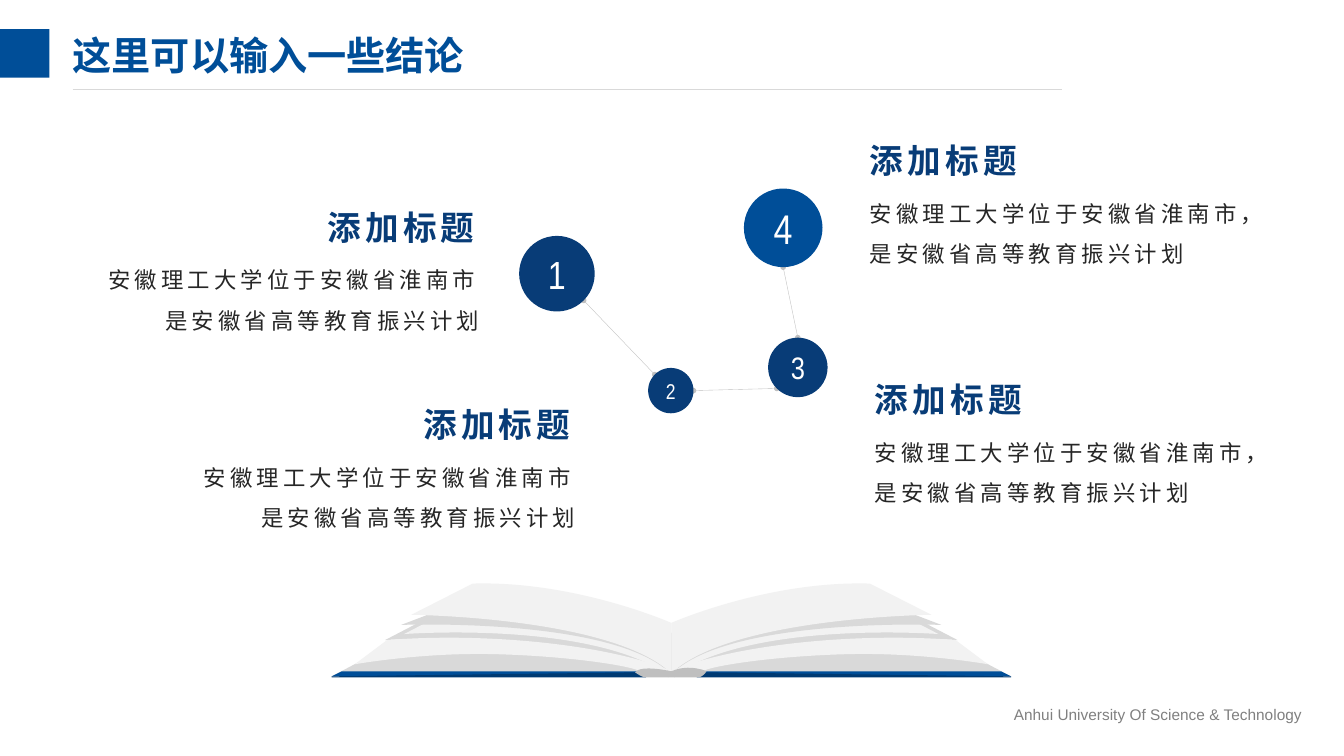
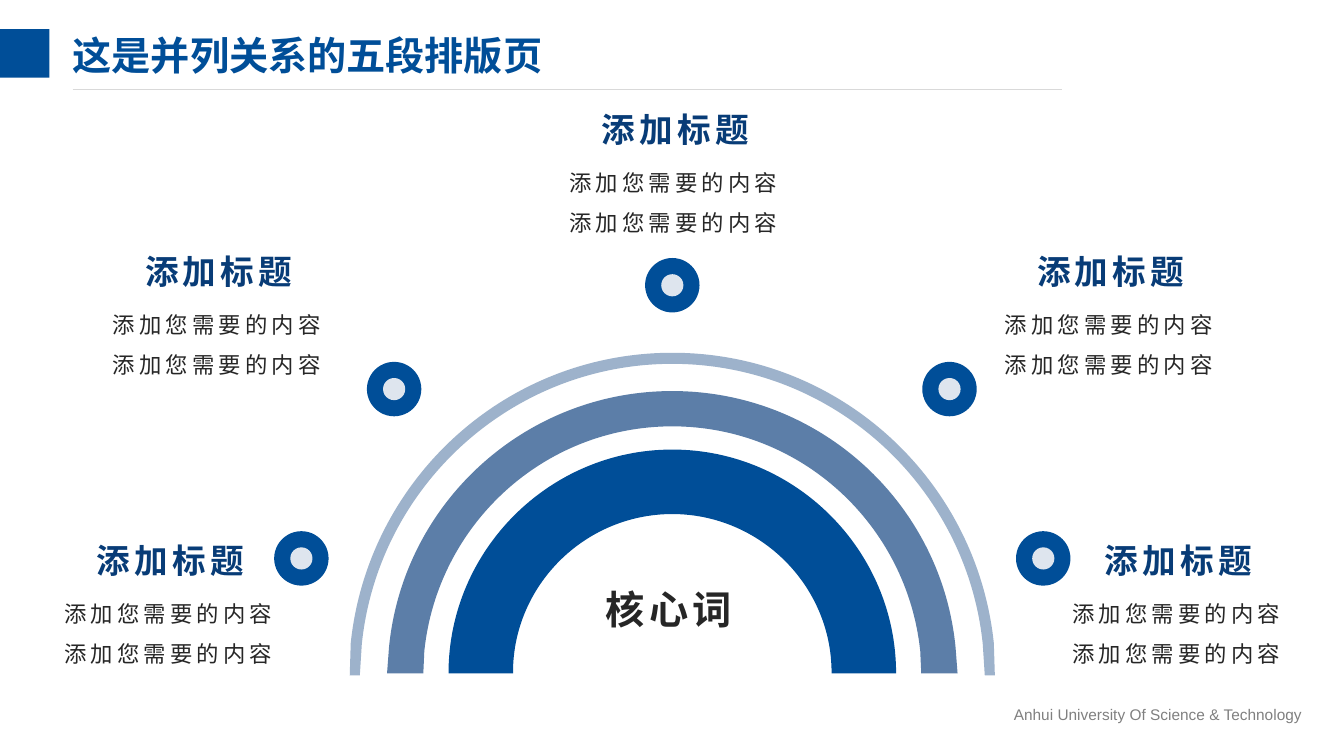
from math import cos, radians, sin

from lxml.etree import SubElement
from pptx import Presentation
from pptx.dml.color import RGBColor
from pptx.enum.shapes import MSO_CONNECTOR as Link, MSO_SHAPE as Preset
from pptx.enum.text import MSO_ANCHOR as Anchor, MSO_AUTO_SIZE as Fit, PP_ALIGN as Align
from pptx.oxml.ns import qn
from pptx.util import Emu, Pt

PX = 9144
BLUE = RGBColor(0x00, 0x4E, 0x98)
NAVY = RGBColor(0x08, 0x3C, 0x77)
COVER_SHADE = RGBColor(0x00, 0x3A, 0x72)
MID_BLUE = RGBColor(0x5C, 0x7E, 0xA8)
PALE_BLUE = RGBColor(0x9D, 0xB2, 0xCB)
DOT_CORE = RGBColor(0xDE, 0xE5, 0xEE)
INK = RGBColor(0x26, 0x26, 0x26)
FOOTER_GREY = RGBColor(0x80, 0x80, 0x80)
SPINE_GREY = RGBColor(0xBF, 0xBF, 0xBF)
RULE_GREY = RGBColor(0xD9, 0xD9, 0xD9)
PAPER = RGBColor(0xF2, 0xF2, 0xF2)
WHITE = RGBColor(0xFF, 0xFF, 0xFF)
CJK = "Noto Sans CJK SC"
TITLE_FONT = "Montserrat"
HEADING = "添加标题"


def px(*lengths):
    """Turn px lengths into EMU."""
    return [Emu(round(length * PX)) for length in lengths]


def add_span(para, text, size, color, font=CJK, bold=False, spacing=0):
    """Add one formatted run to a paragraph."""
    span = para.add_run()
    span.text = text
    span.font.size = Pt(size)
    span.font.bold = bold
    span.font.color.rgb = color
    span.font.name = font
    props = span._r.get_or_add_rPr()
    SubElement(props, qn("a:ea")).set("typeface", CJK)
    if spacing:
        props.set("spc", str(spacing * 100))


def clear_margins(frame):
    """Remove the inner margins of a text frame."""
    frame.margin_left = frame.margin_right = frame.margin_top = frame.margin_bottom = 0


def add_text(shapes, box, lines, size, color, bold=False, align=Align.LEFT, leading=None, wrap=True):
    """Add a spaced-out text box without margins, one paragraph per line."""
    frame = shapes.add_textbox(*px(*box)).text_frame
    clear_margins(frame)
    frame.word_wrap = wrap
    frame.auto_size = Fit.SHAPE_TO_FIT_TEXT
    for index, line in enumerate(lines):
        para = frame.add_paragraph() if index else frame.paragraphs[0]
        para.alignment = align
        para.line_spacing = leading
        add_span(para, line, size, color, bold=bold, spacing=3)


def paint(shape, color):
    """Give a shape a flat fill without line or shadow."""
    shape.shadow.inherit = False
    shape.fill.solid()
    shape.fill.fore_color.rgb = color
    shape.line.fill.background()
    return shape


def add_preset(page, preset, box, color):
    """Add a flat preset shape."""
    return paint(page.shapes.add_shape(preset, *px(*box)), color)


def add_line(page, start, end, color, width, ends=None):
    """Add a straight line, with the given kind of small ends if any."""
    line = page.shapes.add_connector(Link.STRAIGHT, *px(*start, *end))
    line.line.color.rgb = color
    line.line.width = Pt(width)
    if ends:
        stroke = line.line._get_or_add_ln()
        for tag in ("a:headEnd", "a:tailEnd"):
            SubElement(stroke, qn(tag), type=ends, w="sm", len="sm")
    SubElement(line._element.spPr, qn("a:effectLst"))


def move(steps, left, top, flip_width=None):
    """Shift outline steps to a place, mirrored first if a width is given."""
    def place(index, value):
        """Place one coordinate of a step."""
        if index % 2:
            return top + value
        return left + (value if flip_width is None else flip_width - value)

    return [tuple(place(index, value) for index, value in enumerate(step)) for step in steps]


def full_curves(steps):
    """Complete four-number steps, whose first handle is the point before."""
    full = [steps[0]]
    for step in steps[1:]:
        full.append(full[-1][-2:] + step if len(step) == 4 else step)
    return full


def curve_points(start, curve, pieces=40):
    """Sample a Bezier curve for its extent."""
    corners = [start, curve[:2], curve[2:4], curve[4:]]
    for index in range(1, pieces + 1):
        t = index / pieces
        weights = [(1 - t) ** 3, 3 * t * (1 - t) ** 2, 3 * t * t * (1 - t), t ** 3]
        yield tuple(sum(w * c[axis] for w, c in zip(weights, corners)) for axis in (0, 1))


def add_outline(shapes, steps, color):
    """Add a closed, filled outline of points and Bezier curves."""
    steps = full_curves(steps)
    extent = [step for step in steps if len(step) == 2]
    for before, step in zip(steps, steps[1:]):
        if len(step) == 6:
            extent.extend(curve_points(before[-2:], step))
    left, top = (min(axis) for axis in zip(*extent))
    right, bottom = (max(axis) for axis in zip(*extent))
    builder = shapes.build_freeform(*px(left, top))
    builder.add_line_segments([px(right, bottom)], close=True)
    shape = builder.convert_to_shape()
    track = next(shape._element.iter(qn("a:path")))
    for child in list(track):
        track.remove(child)
    for index, step in enumerate(steps):
        tag = "a:cubicBezTo" if len(step) == 6 else "a:lnTo" if index else "a:moveTo"
        segment = SubElement(track, qn(tag))
        for x, y in zip(step[::2], step[1::2]):
            across, down = px(x - left, y - top)
            SubElement(segment, qn("a:pt"), x=str(int(across)), y=str(int(down)))
    SubElement(track, qn("a:close"))
    paint(shape, color)


def add_page(deck, title):
    """Add a title-only page with the shared band, rule, footer and title."""
    page = deck.slides.add_slide(deck.slide_layouts[5])
    footer = page.shapes.add_textbox(*px(996, 695, 314, 29)).text_frame
    footer.word_wrap = False
    footer.auto_size = Fit.SHAPE_TO_FIT_TEXT
    add_span(footer.paragraphs[0], "Anhui University Of Science & Technology", 11, FOOTER_GREY, "Arial")
    add_preset(page, Preset.RECTANGLE, (-2, 29, 51, 48), BLUE)
    add_line(page, (72, 89), (1054, 89), RULE_GREY, 0.5)
    heading = page.shapes.title
    heading.left, heading.top, heading.width, heading.height = px(72, 21, 951, 73)
    frame = heading.text_frame
    clear_margins(frame)
    frame.auto_size = Fit.NONE
    frame.vertical_anchor = Anchor.MIDDLE
    para = frame.paragraphs[0]
    para.alignment = Align.LEFT
    para.line_spacing = 0.9
    add_span(para, title, 28, BLUE, TITLE_FONT, bold=True)
    return page


def add_card(page, box, lines, heading_indent=0, align=Align.LEFT):
    """Add a heading with body text under it."""
    left, top, width = box
    shapes = page.shapes.add_group_shape().shapes
    add_text(shapes, (left + heading_indent, top, 151, 40), [HEADING], 24, NAVY, bold=True)
    add_text(shapes, (left, top + 46, width, 76), lines, 16, INK, align=align, leading=1.5)


def add_book(page, box):
    """Add an open book whose left half is mirrored to the right."""
    left, top, width = box
    shapes = page.shapes.add_group_shape().shapes

    def leaf(foot, head, bulge, crest, tip, sag):
        """Return the outline steps of one turned leaf."""
        return [foot, head, bulge + crest, tip, sag + foot]

    half = [
        (RULE_GREY, [(0, 92), (91, 44), (338, 49), (338, 92)]),
        (BLUE, [(10, 87), (0, 92), (338, 92), (338, 87)]),
        (RULE_GREY, leaf((334, 93), (334, 47), (207, 26), (105, 29), (53, 56), (253, 42))),
        (PAPER, leaf((336, 92), (336, 46), (226, 20), (124, 23), (72, 50), (258, 36))),
        (RULE_GREY, leaf((336, 89), (336, 43), (226, 16), (124, 20), (69, 41), (278, 33))),
        (PAPER, [(55, 56), (23, 80), (90, 68, 163, 70), (235, 72, 292, 81, 304, 86),
                 (309, 84, 325, 84, 338, 87), (277, 61, 156, 48, 55, 56)]),
        (PAPER, leaf((337, 89), (337, 39), (242, -3), (140, 0), (79, 31), (278, 33))),
        (COVER_SHADE, [(312, 93), (302, 88), (0, 92), (0, 93)]),
    ]
    for color, steps in half:
        add_outline(shapes, move(steps, left, top), color)
        add_outline(shapes, move(steps, left, top, width), color)
    spine = [(301, 88), (308, 93, 311, 93), (364, 93), (368, 93, 372, 87),
             (355, 79, 337, 87), (307, 80, 301, 88)]
    add_outline(shapes, move(spine, left, top), SPINE_GREY)


def rim(circle, degrees):
    """Return the point on a circle at a clockwise angle from the right."""
    left, top, size = circle
    radius = size / 2
    angle = radians(degrees)
    return left + radius + radius * cos(angle), top + radius + radius * sin(angle)


def add_chain(page, left, top):
    """Add four numbered circles joined by thin lines."""
    circles = [(left + x, top + y, size) for x, y, size in
               [(0, 47, 75), (128, 178, 45), (247, 148, 59), (223, 0, 78)]]
    joints = [(45, 225), (0, 135), (270, 90)]
    for start, end, (leave, arrive) in zip(circles, circles[1:], joints):
        add_line(page, rim(start, leave), rim(end, arrive), SPINE_GREY, 0.25, "oval")
    styles = [(28, NAVY), (15.3, NAVY), (22.2, NAVY), (29.6, BLUE)]
    for number, ((x, y, size), (points, color)) in enumerate(zip(circles, styles), 1):
        frame = add_preset(page, Preset.OVAL, (x, y, size, size), color).text_frame
        clear_margins(frame)
        frame.vertical_anchor = Anchor.MIDDLE
        para = frame.paragraphs[0]
        para.alignment = Align.CENTER
        add_span(para, str(number), points, WHITE, "Arial Narrow")


def add_half_ring(shapes, center, base, edges, color):
    """Add a half ring from its outer and inner edge, each given by its right half."""
    steps = []
    for side, (crown, handle, pull_x, pull_y, shoulder_x, shoulder_y, foot) in zip((-1, 1), edges):
        steps += [(side * foot, base), (side * shoulder_x, shoulder_y),
                  (side * pull_x, pull_y, side * handle, crown, 0, crown),
                  (-side * handle, crown, -side * pull_x, pull_y, -side * shoulder_x, shoulder_y),
                  (-side * foot, base)]
    add_outline(shapes, move(steps, center, 0), color)


def add_dot(page, left, top):
    """Add a round marker with a pale core."""
    add_preset(page, Preset.OVAL, (left, top, 54, 54), BLUE)
    add_preset(page, Preset.OVAL, (left + 16, top + 16, 22, 22), DOT_CORE)


def build_conclusions(deck):
    """Build the page with four linked conclusions above a book."""
    page = add_page(deck, "这里可以输入一些结论")
    add_book(page, (329, 579, 674))
    for left, top in [(863, 139), (868, 376)]:
        add_card(page, (left, top, 384), ["安徽理工大学位于安徽省淮南市，是安徽省高等教育振兴计划"])
    for left, top in [(187, 401), (92, 205)]:
        add_card(page, (left, top, 384), ["安徽理工大学位于安徽省淮南市是安徽省高等教育振兴计划"],
                 233, Align.RIGHT)
    add_chain(page, 515, 187)


def build_five_points(deck):
    """Build the page with five points around a core word."""
    page = add_page(deck, "这是并列关系的五段排版页")
    for card, dot in [((565, 108), (640, 256)), ((112, 249), (364, 359)), ((997, 249), (915, 359)),
                      ((64, 536), (272, 527)), ((1064, 536), (1008, 527))]:
        add_dot(page, *dot)
        add_card(page, (*card, 224), ["添加您需要的内容"] * 2, 32)
    add_text(page.shapes, (601, 581, 130, 47), ["核心词"], 28, INK, bold=True, wrap=False)
    rings = page.shapes.add_group_shape().shapes
    for base, outer, inner, color in [
        (668, (446, 122, 222, 546, 222, 668, 222), (510, 87, 158, 581, 158, 667, 158), BLUE),
        (670, (350, 166, 302, 476, 319, 638, 320), (361, 160, 292, 483, 308, 639, 310), PALE_BLUE),
        (668, (388, 146, 267, 499, 281, 642, 283), (423, 128, 233, 521, 246, 646, 247), MID_BLUE),
    ]:
        add_half_ring(rings, 667, base, (outer, inner), color)


def main():
    """Build and save the deck."""
    deck = Presentation()
    deck.slide_width, deck.slide_height = Emu(12192000), Emu(750 * PX)
    build_conclusions(deck)
    build_five_points(deck)
    deck.save("out.pptx")


if __name__ == "__main__":
    main()
